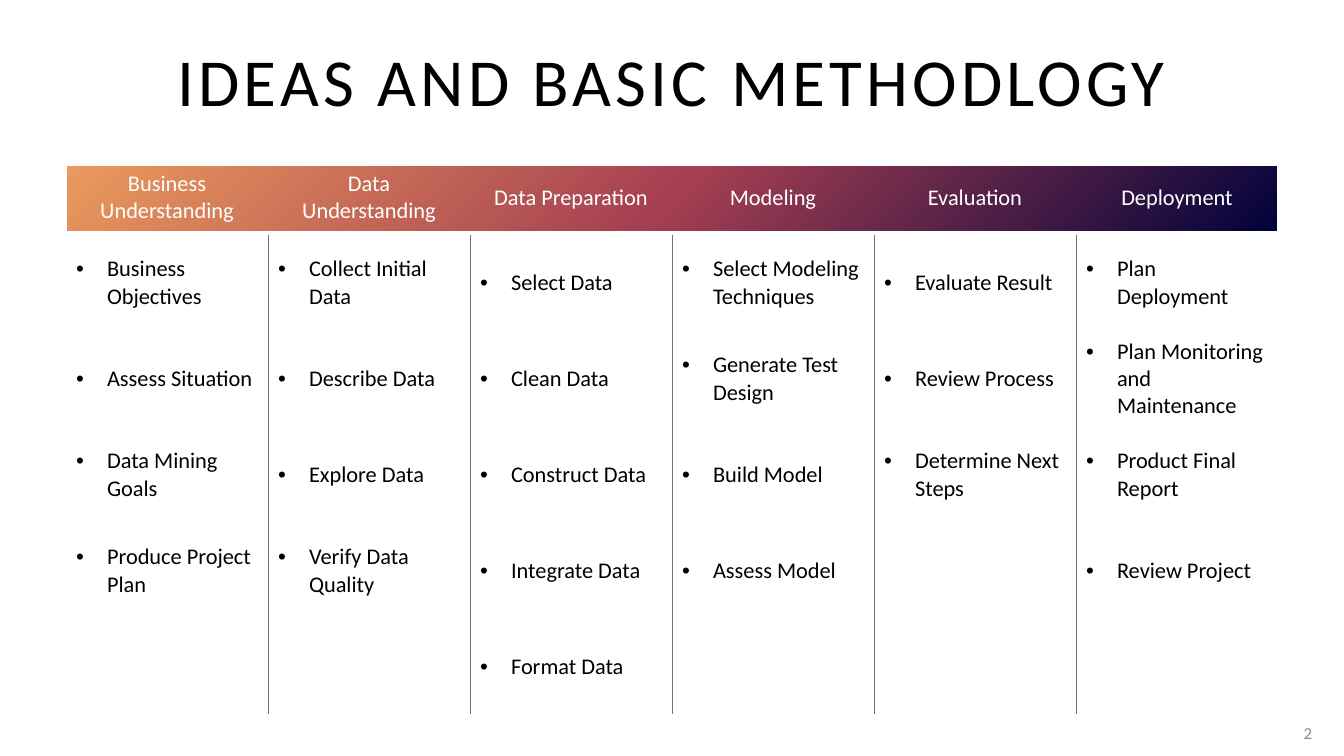
from lxml import etree
from pptx import Presentation
from pptx.dml.color import RGBColor
from pptx.enum.shapes import MSO_SHAPE
from pptx.enum.text import MSO_ANCHOR, MSO_AUTO_SIZE, PP_ALIGN
from pptx.oxml import parse_xml
from pptx.oxml.ns import nsdecls, qn
from pptx.util import Pt

PX = 12192000 / 1344
RECTANGLE = MSO_SHAPE.RECTANGLE
MIDDLE = MSO_ANCHOR.MIDDLE
NO_AUTOFIT = MSO_AUTO_SIZE.NONE
CENTER, LEFT, RIGHT = PP_ALIGN.CENTER, PP_ALIGN.LEFT, PP_ALIGN.RIGHT
BLACK = RGBColor(0x00, 0x00, 0x00)
WHITE = RGBColor(0xFF, 0xFF, 0xFF)
RULE_GRAY = RGBColor(0x76, 0x71, 0x71)
NUMBER_GRAY = RGBColor(0x8C, 0x8C, 0x8C)
NAVY = RGBColor(0x01, 0x02, 0x3B)
CRIMSON = RGBColor(0xA5, 0x3F, 0x52)
ORANGE = RGBColor(0xEA, 0x9A, 0x5C)
NO_GRID_STYLE = "{2D5ABB26-0587-4C30-8999-92F81FD0307C}"

TABLE_LEFT, TABLE_TOP = 66, 165
COLUMN_WIDTH, HEADER_HEIGHT, ROW_HEIGHT = 202, 65, 96
BULLET_INDENT = 31

PHASES = [
    ("Business Understanding", ["Business Objectives", "Assess Situation",
                                "Data Mining Goals", "Produce Project Plan"]),
    ("Data\nUnderstanding", ["Collect Initial Data", "Describe Data",
                             "Explore Data", "Verify Data Quality"]),
    ("Data Preparation", ["Select Data", "Clean Data", "Construct Data",
                          "Integrate Data", "Format Data"]),
    ("Modeling", ["Select Modeling Techniques", "Generate Test Design",
                  "Build Model", "Assess Model"]),
    ("Evaluation", ["Evaluate Result", "Review Process", "Determine Next Steps"]),
    ("Deployment", ["Plan Deployment", "Plan Monitoring and Maintenance",
                    "Product Final Report", "Review Project"]),
]


def px(*lengths):
    return [round(length * PX) for length in lengths]


def format_text(text_frame, alignment, size, color):
    for paragraph in text_frame.paragraphs:
        paragraph.alignment = alignment
        for run in paragraph.runs:
            values = {"name": "Calibri", "size": Pt(size)}
            for name, value in values.items():
                setattr(run.font, name, value)
            run.font.color.rgb = color


presentation = Presentation()
presentation.slide_width, presentation.slide_height = px(1344, 756)
presentation.element.set("firstSlideNum", "2")
slide = presentation.slides.add_slide(presentation.slide_layouts[5])

table_width = COLUMN_WIDTH * len(PHASES)
row_count = 1 + max(len(tasks) for heading, tasks in PHASES)

band = slide.shapes.add_shape(
    RECTANGLE, *px(TABLE_LEFT, TABLE_TOP + 1, table_width, HEADER_HEIGHT))
band.shadow.inherit = False
band.line.fill.background()
stops = "".join(
    f'<a:gs pos="{position}"><a:srgbClr val="{color}"/></a:gs>'
    for position, color in [(0, NAVY), (50000, CRIMSON), (100000, ORANGE)])
gradient = parse_xml(
    f'<a:gradFill {nsdecls("a")} rotWithShape="1"><a:gsLst>{stops}</a:gsLst>'
    '<a:path path="circle"><a:fillToRect l="100000" t="100000"/></a:path></a:gradFill>')
band.element.spPr.find(qn("a:prstGeom")).addnext(gradient)

table_frame = slide.shapes.add_table(
    row_count, len(PHASES),
    *px(TABLE_LEFT, TABLE_TOP, table_width, HEADER_HEIGHT + ROW_HEIGHT * (row_count - 1)))
table = table_frame.table
table.first_row = table.horz_banding = False
next(table_frame.element.iter(qn("a:tableStyleId"))).text = NO_GRID_STYLE
for column in table.columns:
    column.width = px(COLUMN_WIDTH)[0]
for row_index, row in enumerate(table.rows):
    row.height = px(ROW_HEIGHT if row_index else HEADER_HEIGHT)[0]

for column_index, (heading, tasks) in enumerate(PHASES):
    first, last = column_index == 0, column_index == len(PHASES) - 1
    for row_index in range(row_count):
        cell = table.cell(row_index, column_index)
        inner = (RULE_GRAY, 0.25) if row_index else None
        borders = {
            "lnL": (WHITE, 1) if first else inner,
            "lnR": (WHITE, 1) if last else inner,
            "lnT": None if row_index else (WHITE, 1),
            "lnB": (WHITE, 1) if row_index == row_count - 1 else None,
        }
        cell_properties = cell._tc.get_or_add_tcPr()
        for side, border in borders.items():
            if border:
                color, width = border
                line = etree.SubElement(cell_properties, qn(f"a:{side}"), w=str(int(Pt(width))))
                fill = etree.SubElement(line, qn("a:solidFill"))
                etree.SubElement(fill, qn("a:srgbClr"), val=str(color))
        cell.fill.background()
        cell.vertical_anchor = MIDDLE
        if row_index == 0:
            cell.margin_top, cell.margin_bottom = px(5, 10)
            cell.text = heading
            format_text(cell.text_frame, CENTER, 16, WHITE)
        elif row_index <= len(tasks):
            cell.text = tasks[row_index - 1]
            indent = px(BULLET_INDENT)[0]
            properties = cell.text_frame.paragraphs[0]._p.get_or_add_pPr()
            properties.set("marL", str(indent))
            properties.set("indent", str(-indent))
            etree.SubElement(properties, qn("a:buFont"), typeface="Arial")
            etree.SubElement(properties, qn("a:buChar"), char="•")
            format_text(cell.text_frame, LEFT, 16, BLACK)

title = slide.shapes.title
title.left, title.top, title.width, title.height = px(TABLE_LEFT, 34, table_width, 91)
title.text_frame.text = "IDEAS AND BASIC METHODLOGY"
title.text_frame.auto_size = NO_AUTOFIT
title.text_frame.vertical_anchor = MIDDLE
format_text(title.text_frame, CENTER, 48, BLACK)
title_run = title.text_frame.paragraphs[0].runs[0]
title_run._r.get_or_add_rPr().set("spc", "300")

number_box = slide.shapes.add_textbox(*px(1273, 713, 49, 40))
number_box.text_frame.word_wrap = True
number_box.text_frame.vertical_anchor = MIDDLE
number_paragraph = number_box.text_frame.paragraphs[0]
number_paragraph.alignment = RIGHT
number_paragraph._p.append(parse_xml(
    f'<a:fld {nsdecls("a")} id="{{B6F15528-21DE-4FAA-801E-634DDDAF4B2B}}" type="slidenum">'
    f'<a:rPr lang="en-US" sz="1200"><a:solidFill><a:srgbClr val="{NUMBER_GRAY}"/></a:solidFill>'
    '<a:latin typeface="Calibri"/></a:rPr><a:t>2</a:t></a:fld>'))

presentation.save("out.pptx")
